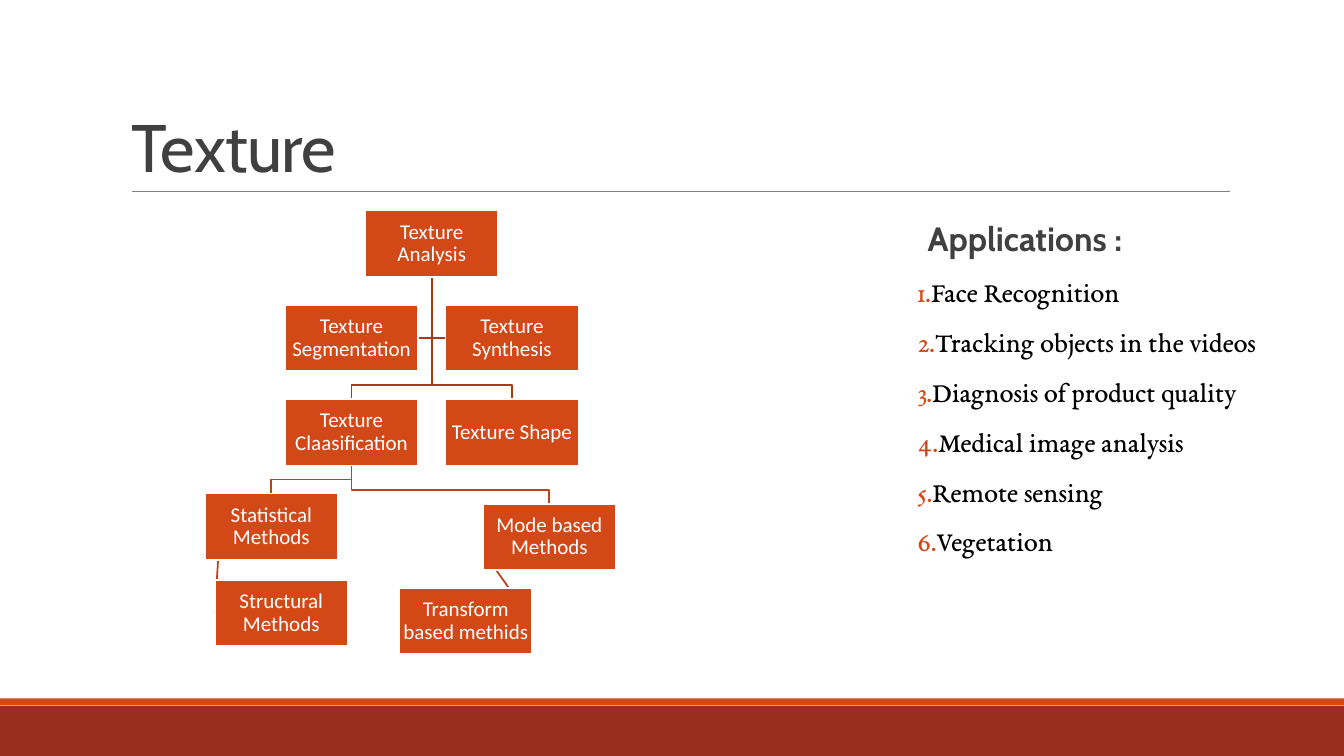
from lxml import etree
from pptx import Presentation, util as u
from pptx.dml.color import RGBColor
from pptx.enum import shapes, text
from pptx.oxml import ns

COLOURS = {
    "accent": "D34817", "band": "9B2D1F", "rule": "808080", "heading": "404040",
    "body": "000000", "white": "FFFFFF", "upper_line": "A93A12", "lower_line": "BF4115",
}
SLIDE_WIDTH, SLIDE_HEIGHT = 960, 540
BAND_TOP, STRIPE_TOP, STRIPE_HEIGHT = 504, 498.8, 4.8
RULE_LEFT, RULE_RIGHT, RULE_TOP = 94.5, 878.6, 136.7

BOX_WIDTH, BOX_HEIGHT = 95, 47.4
TREE_LEFT, TREE_TOP = 146.3, 150.4
COLUMN_STEP, ROW_STEP = 57.3, 67.4
ELBOW_DROP = 10
LEFT_SIDE, RIGHT_SIDE = 1, 3

GRID_BOXES = {
    "Texture Analysis": (2, 0),
    "Texture Segmentation": (1, 1),
    "Texture Synthesis": (3, 1),
    "Texture Claasification": (1, 2),
    "Texture Shape": (3, 2),
    "Statistical Methods": (0, 3),
}
OFF_GRID_BOXES = {
    "Structural Methods": (153.4, 414.2),
    "Mode based Methods": (344.9, 359.8),
    "Transform based methids": (285.2, 419.8),
}
BOXES = {
    label: (TREE_LEFT + column * COLUMN_STEP, TREE_TOP + row * ROW_STEP)
    for label, (column, row) in GRID_BOXES.items()
} | OFF_GRID_BOXES

SIDE_BRANCHES = [
    ("Texture Analysis", "Texture Synthesis", LEFT_SIDE),
    ("Texture Analysis", "Texture Segmentation", RIGHT_SIDE),
]
ELBOWS = [
    ("Texture Analysis", "Texture Shape", "upper_line"),
    ("Texture Analysis", "Texture Claasification", "upper_line"),
    ("Texture Claasification", "Mode based Methods", "lower_line"),
    ("Texture Claasification", "Statistical Methods", "lower_line"),
]
STRAIGHT_LINKS = [
    ("Statistical Methods", "Structural Methods", LEFT_SIDE),
    ("Mode based Methods", "Transform based methids", RIGHT_SIDE),
]
APPLICATIONS = [
    "Face Recognition", "Tracking objects in the videos", "Diagnosis of product quality",
    "Medical image analysis", "Remote sensing", "Vegetation",
]


class SlideBuilder:
    def __init__(self, slide):
        self.slide = slide

    def colour(self, name):
        return RGBColor.from_string(COLOURS[name])

    def font(self, paragraph, name, size, colour, bold=False):
        font = paragraph.font
        font.name, font.size, font.bold = name, u.Pt(size), bold
        font.color.rgb = self.colour(colour)

    def stroke(self, shape, colour, width=1.25):
        shape.line.color.rgb = self.colour(colour)
        shape.line.width = u.Pt(width)

    def rectangle(self, left, top, width, height, fill):
        shape = self.slide.shapes.add_shape(
            shapes.MSO_SHAPE.RECTANGLE, u.Pt(left), u.Pt(top), u.Pt(width), u.Pt(height))
        shape.shadow.inherit = False
        shape.fill.solid()
        shape.fill.fore_color.rgb = self.colour(fill)
        shape.line.fill.background()
        return shape

    def box(self, label, left, top):
        shape = self.rectangle(left, top, BOX_WIDTH, BOX_HEIGHT, "accent")
        self.stroke(shape, "white")
        frame = shape.text_frame
        frame.margin_left = frame.margin_right = frame.margin_top = frame.margin_bottom = u.Pt(0.75)
        frame.vertical_anchor = text.MSO_ANCHOR.MIDDLE
        paragraph = frame.paragraphs[0]
        paragraph.text = label
        paragraph.alignment = text.PP_ALIGN.CENTER
        paragraph.line_spacing = 0.9
        self.font(paragraph, "Calibri", 15, "white")
        return shape

    def line(self, start, end, colour, width=1.25):
        connector = self.slide.shapes.add_connector(
            shapes.MSO_CONNECTOR.STRAIGHT, *(u.Pt(value) for value in (*start, *end)))
        self.stroke(connector, colour, width)
        etree.SubElement(connector._element.spPr, ns.qn("a:effectLst"))
        return connector

    def route(self, points, colour):
        start, *corners = [(u.Pt(x), u.Pt(y)) for x, y in points]
        outline = self.slide.shapes.build_freeform(*start)
        outline.add_line_segments(corners, close=False)
        shape = outline.convert_to_shape()
        shape.shadow.inherit = False
        shape.fill.background()
        self.stroke(shape, colour)

    def text_frame(self, left, top, width, height):
        frame = self.slide.shapes.add_textbox(
            u.Pt(left), u.Pt(top), u.Pt(width), u.Pt(height)).text_frame
        frame.word_wrap = True
        return frame

    def title(self, wording):
        frame = self.text_frame(86.6, 22.3, 792, 114.5)
        frame.vertical_anchor = text.MSO_ANCHOR.BOTTOM
        paragraph = frame.paragraphs[0]
        paragraph.line_spacing = 0.85
        run = paragraph.add_run()
        run.text = wording
        run._r.get_or_add_rPr().set("spc", "-50")
        self.font(paragraph, "Cabin", 48, "heading")

    def list_paragraph(self, paragraph, wording, first_line_indent):
        paragraph.text = wording
        paragraph.line_spacing = 0.9
        paragraph.space_after = u.Pt(2)
        properties = paragraph._p.get_or_add_pPr()
        properties.set("marL", str(u.Pt(7.2)))
        properties.set("indent", str(u.Pt(first_line_indent)))
        return properties

    def numbered_list(self, heading, items):
        frame = self.text_frame(655.4, 155.5, 252, 316.8)
        frame.margin_left = frame.margin_right = 0
        paragraph = frame.paragraphs[0]
        self.list_paragraph(paragraph, heading, 0)
        self.font(paragraph, "Cabin", 24, "heading", bold=True)
        for item in items:
            paragraph = frame.add_paragraph()
            properties = self.list_paragraph(paragraph, item, -7.2)
            paragraph.space_before = u.Pt(12)
            number_colour = etree.SubElement(properties, ns.qn("a:buClr"))
            etree.SubElement(number_colour, ns.qn("a:srgbClr"), val=COLOURS["accent"])
            etree.SubElement(properties, ns.qn("a:buAutoNum"), type="arabicPeriod")
            self.font(paragraph, "EB Garamond", 20, "body")


def bottom_point(label, fraction=0.5):
    left, top = BOXES[label]
    return left + BOX_WIDTH * fraction, top + BOX_HEIGHT


def side_point(label, side):
    left, top = BOXES[label]
    return left + (BOX_WIDTH if side == RIGHT_SIDE else 0), top + BOX_HEIGHT / 2


def side_branch(parent, child, side):
    start, end = bottom_point(parent), side_point(child, side)
    return [start, (start[0], end[1]), end]


def elbow(parent, child):
    start_x, start_y = bottom_point(parent)
    child_left, end_y = BOXES[child]
    end_x, turn_y = child_left + BOX_WIDTH / 2, end_y - ELBOW_DROP
    return [(start_x, start_y), (start_x, turn_y), (end_x, turn_y), (end_x, end_y)]


def draw_tree(builder):
    for parent, child, side in SIDE_BRANCHES:
        builder.route(side_branch(parent, child, side), "upper_line")
    for parent, child, colour in ELBOWS:
        builder.route(elbow(parent, child), colour)
    drawn = {label: builder.box(label, *position) for label, position in BOXES.items()}
    rearmost_box = drawn["Texture Analysis"]
    for parent, child, side in STRAIGHT_LINKS:
        connector = builder.line(bottom_point(parent, 0.1), side_point(child, side), "lower_line")
        connector.end_connect(drawn[child], side)
        rearmost_box._element.addprevious(connector._element)


def main():
    presentation = Presentation()
    presentation.slide_width, presentation.slide_height = u.Pt(SLIDE_WIDTH), u.Pt(SLIDE_HEIGHT)
    builder = SlideBuilder(presentation.slides.add_slide(presentation.slide_layouts[6]))
    builder.rectangle(0, BAND_TOP, SLIDE_WIDTH, SLIDE_HEIGHT - BAND_TOP, "band")
    builder.rectangle(0, STRIPE_TOP, SLIDE_WIDTH, STRIPE_HEIGHT, "accent")
    builder.line((RULE_LEFT, RULE_TOP), (RULE_RIGHT, RULE_TOP), "rule", 0.5)
    builder.title("Texture")
    builder.numbered_list("Applications :", APPLICATIONS)
    draw_tree(builder)
    presentation.save("out.pptx")


if __name__ == "__main__":
    main()
